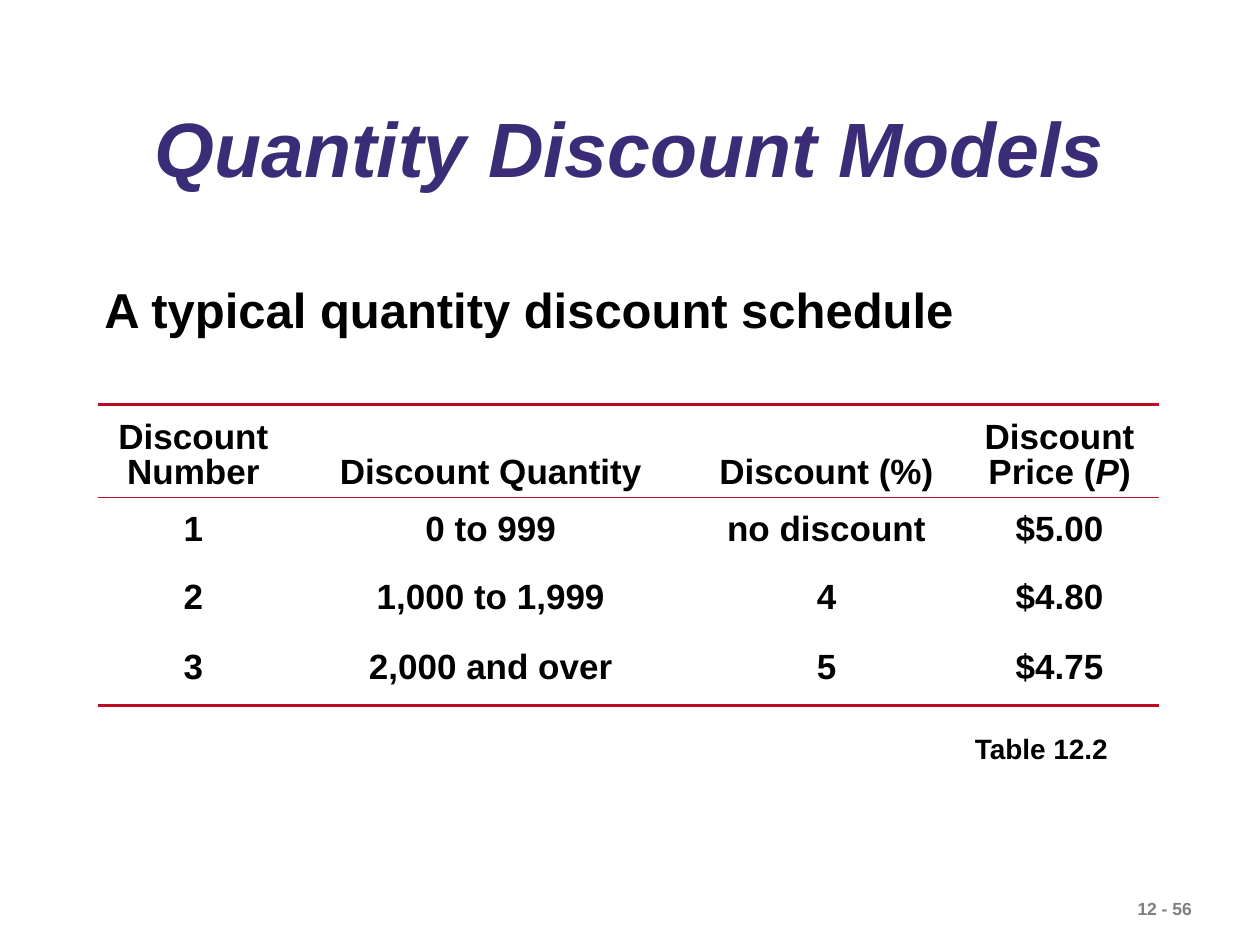
from lxml.etree import SubElement
from pptx import Presentation
from pptx.dml.color import RGBColor
from pptx.enum.text import MSO_ANCHOR as Anchor, PP_ALIGN as Align
from pptx.oxml.ns import qn
from pptx.util import Inches, Pt

BLACK, PURPLE, RED, GRAY = "000000", "3A2C76", "BF0922", "7F7F7F"
COLUMN_WIDTHS = [1.51, 3.21, 2.12, 1.58]
ROW_HEIGHTS = [0.74, 0.53, 0.54, 0.58]
SCHEDULE = [
    [["Discount Number"], ["Discount Quantity"], ["Discount (%)"], ["Discount Price (", "P", ")"]],
    [["1"], ["0 to 999"], ["no discount"], ["$5.00"]],
    [["2"], ["1,000 to 1,999"], ["4"], ["$4.80"]],
    [["3"], ["2,000 and over"], ["5"], ["$4.75"]],
]
TOP_RULES = {0: 2.25, 1: 1}
BOTTOM_RULES = {0: 1, 3: 2.25}


def color(value):
    return RGBColor.from_string(value)


def add_run(paragraph, text, size, fill=BLACK, italic=False):
    run = paragraph.add_run()
    run.text = text
    font = run.font
    font.name, font.size, font.bold, font.italic = "Arial", Pt(size), True, italic
    font.color.rgb = color(fill)


def set_title(slide, text):
    title = slide.shapes.title
    title.left, title.top, title.width, title.height = map(Inches, (0.6, 0.66, 8.8, 1.1))
    title.text_frame.vertical_anchor = Anchor.MIDDLE
    paragraph = title.text_frame.paragraphs[0]
    paragraph.alignment, paragraph.line_spacing = Align.CENTER, 0.9
    add_run(paragraph, text, 44, PURPLE, True)


def add_label(slide, text, box, size, fill=BLACK, alignment=Align.LEFT):
    shape = slide.shapes.add_textbox(*map(Inches, box))
    shape.text_frame.word_wrap = False
    paragraph = shape.text_frame.paragraphs[0]
    paragraph.alignment = alignment
    add_run(paragraph, text, size, fill)


def set_borders(cell, top, bottom):
    properties = cell._tc.get_or_add_tcPr()
    widths = {"a:lnL": None, "a:lnR": None, "a:lnT": top, "a:lnB": bottom}
    for index, (tag, width) in enumerate(widths.items()):
        line = SubElement(properties, qn(tag))
        properties.insert(index, line)
        if width:
            line.set("w", str(Pt(width)))
            fill = SubElement(line, qn("a:solidFill"))
            SubElement(fill, qn("a:srgbClr"), val=RED)
        else:
            SubElement(line, qn("a:noFill"))


def fill_cell(cell, texts, anchor):
    cell.fill.background()
    cell.vertical_anchor = anchor
    paragraph = cell.text_frame.paragraphs[0]
    paragraph.alignment, paragraph.line_spacing = Align.CENTER, 0.9
    paragraph.space_after = Pt(10)
    for text in texts:
        add_run(paragraph, text, 20, italic=text == "P")


def add_schedule(slide):
    frame = slide.shapes.add_table(
        len(ROW_HEIGHTS), len(COLUMN_WIDTHS), Inches(0.78), Inches(3.21),
        Inches(sum(COLUMN_WIDTHS)), Inches(sum(ROW_HEIGHTS)))
    table = frame.table
    table.first_row = table.horz_banding = False
    for column, width in zip(table.columns, COLUMN_WIDTHS):
        column.width = Inches(width)
    for index, (row, height) in enumerate(zip(table.rows, ROW_HEIGHTS)):
        row.height = Inches(height)
        anchor = Anchor.MIDDLE if index else Anchor.BOTTOM
        for cell, texts in zip(row.cells, SCHEDULE[index]):
            fill_cell(cell, texts, anchor)
            set_borders(cell, TOP_RULES.get(index), BOTTOM_RULES.get(index))


def main():
    presentation = Presentation()
    presentation.slide_width, presentation.slide_height = Inches(10), Inches(7.5)
    slide = presentation.slides.add_slide(presentation.slide_layouts[5])
    add_label(slide, "12 - 56", (8.93, 7.08, 1.14, 0.27), 10, GRAY)
    set_title(slide, "Quantity Discount Models")
    add_schedule(slide)
    add_label(slide, "Table 12.2", (7.63, 5.76, 1.27, 0.37), 16, alignment=Align.CENTER)
    add_label(slide, "A typical quantity discount schedule", (0.73, 2.17, 6.95, 0.57), 28)
    presentation.save("out.pptx")


if __name__ == "__main__":
    main()
